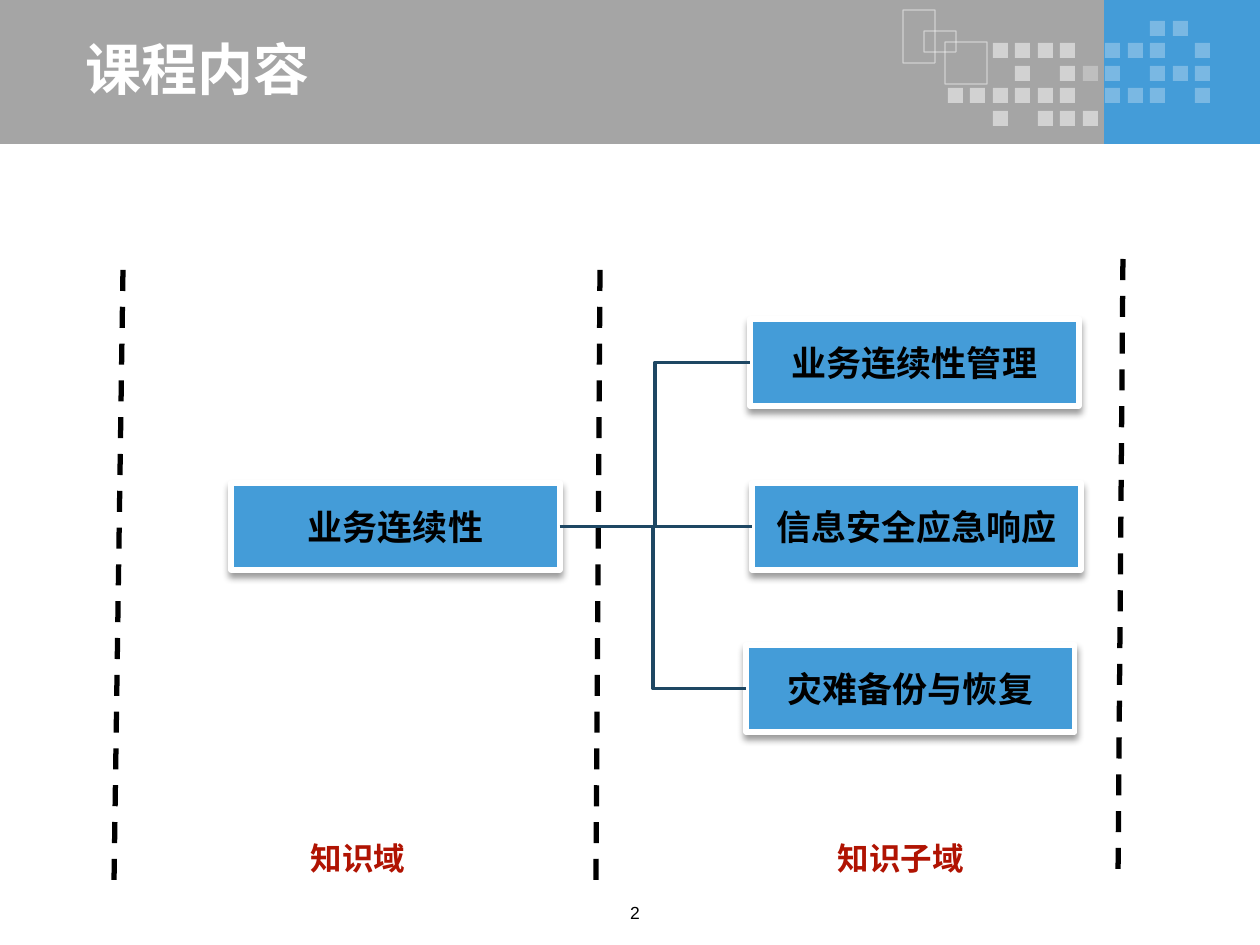
import pptx
import pptx.util
import pptx.dml.color
import pptx.enum.dml
import pptx.enum.shapes
import pptx.enum.text
import pptx.oxml.ns
import lxml.etree
from dataclasses import dataclass

PX = 914400 // 126
qn = pptx.oxml.ns.qn
sub_element = lxml.etree.SubElement
RGB = pptx.dml.color.RGBColor.from_string
RECT = pptx.enum.shapes.MSO_SHAPE.RECTANGLE
CONNECTOR = pptx.enum.shapes.MSO_CONNECTOR
ALIGN = pptx.enum.text.PP_ALIGN
MIDDLE = pptx.enum.text.MSO_ANCHOR.MIDDLE


@dataclass
class Theme:
    blue: str = "449CD8"
    grey: str = "A5A5A5"
    white: str = "FFFFFF"
    black: str = "000000"
    red: str = "B01302"
    navy: str = "1E4763"
    font: str = "Arial"
    cjk: str = "Noto Sans CJK SC"
    title: int = 32
    box: int = 20
    label: int = 18
    number: int = 10


theme = Theme()


def add_rect(box, fill=None, line=None, width=0.75, alpha=None):
    sp = s.shapes.add_shape(RECT, *[v * PX for v in box])
    sp.shadow.inherit = False
    if fill:
        sp.fill.solid()
        sp.fill.fore_color.rgb = RGB(fill)
    else:
        sp.fill.background()
    if line:
        sp.line.color.rgb = RGB(line)
        sp.line.width = pptx.util.Pt(width)
    else:
        sp.line.fill.background()
    if alpha:
        for clr in sp.element.spPr.iter(qn("a:srgbClr")):
            sub_element(clr, qn("a:alpha"), val=str(alpha * 1000))
    return sp


def write(sp, text, size, color, font, bold=True, align=ALIGN.CENTER):
    tf = sp.text_frame
    tf.text = text
    p = tf.paragraphs[0]
    p.alignment = align
    r = p.runs[0]
    r.font.size = pptx.util.Pt(size)
    r.font.bold = bold
    r.font.name = font
    r.font.color.rgb = RGB(color)
    for props in sp.element.iter(qn("a:rPr")):
        sub_element(props, qn("a:ea"), typeface=theme.cjk)
    return tf


prs = pptx.Presentation()
prs.slide_width = 1260 * PX
prs.slide_height = 945 * PX
s = prs.slides.add_slide(prs.slide_layouts[5])

add_rect((1104, 0, 156, 144), theme.blue)
add_rect((0, 0, 1104, 144), theme.grey)

mosaic = [
    ".........ll.",
    "..hhhh.lll.l",
    "...h.hll.lll",
    "hhhhhh.lll.l",
    "..h.hhh.....",
]
opacity = {"h": 50, "l": 29}
for row, cells in enumerate(mosaic):
    for col, cell in enumerate(cells):
        if cell in opacity:
            tile = (948 + col * 45 // 2, 21 + row * 45 // 2, 15, 15)
            add_rect(tile, theme.white, alpha=opacity[cell])

for frame in [(903, 10, 32, 53), (924, 31, 32, 21), (945, 42, 42, 42)]:
    add_rect(frame, line=theme.white, alpha=50)

title = s.shapes.title
title.left, title.top, title.width, title.height = [v * PX for v in (73, 35, 978, 67)]
tf = write(title, "课程内容", theme.title, theme.white, theme.cjk, align=ALIGN.LEFT)
tf.vertical_anchor = MIDDLE
title.element.getparent().append(title.element)

for x1, y1, x2, y2 in [(600, 270, 596, 882), (1123, 259, 1118, 882), (123, 270, 114, 882)]:
    divider = s.shapes.add_connector(CONNECTOR.STRAIGHT, x1 * PX, y1 * PX, x2 * PX, y2 * PX)
    divider.line.color.rgb = RGB(theme.black)
    divider.line.width = pptx.util.Pt(3)
    divider.line.dash_style = pptx.enum.dml.MSO_LINE.DASH
    sub_element(divider.element.spPr, qn("a:effectLst"))

topics = []
for text, x, y in [
    ("业务连续性", 231, 483),
    ("业务连续性管理", 750, 319),
    ("信息安全应急响应", 752, 483),
    ("灾难备份与恢复", 746, 645),
]:
    sp = add_rect((x, y, 329, 87), theme.blue, theme.white, 3)
    shadow = sub_element(sp.element.spPr.find(qn("a:effectLst")), qn("a:outerShdw"),
                         blurRad="50800", dist="38100", dir="5400000", rotWithShape="0")
    clr = sub_element(shadow, qn("a:srgbClr"), val=theme.black)
    sub_element(clr, qn("a:alpha"), val="40000")
    tf = write(sp, text, theme.box, theme.black, theme.font)
    tf.vertical_anchor = MIDDLE
    tf.word_wrap = False
    topics.append(sp)

domain, *subdomains = topics
for subdomain in subdomains:
    link = s.shapes.add_connector(CONNECTOR.ELBOW, 0, 0, 0, 0)
    link.begin_connect(domain, 3)
    link.end_connect(subdomain, 1)
    link.line.color.rgb = RGB(theme.navy)
    link.line.width = pptx.util.Pt(2)
    sub_element(link.element.spPr, qn("a:effectLst"))

for text, box, size, color, bold in [
    ("知识域", (283, 833, 150, 50), theme.label, theme.red, True),
    ("知识子域", (782, 833, 238, 50), theme.label, theme.red, True),
    ("2", (577, 896, 116, 37), theme.number, theme.black, False),
]:
    sp = s.shapes.add_textbox(*[v * PX for v in box])
    tf = write(sp, text, size, color, theme.font, bold)
    tf.word_wrap = True

prs.save("out.pptx")
